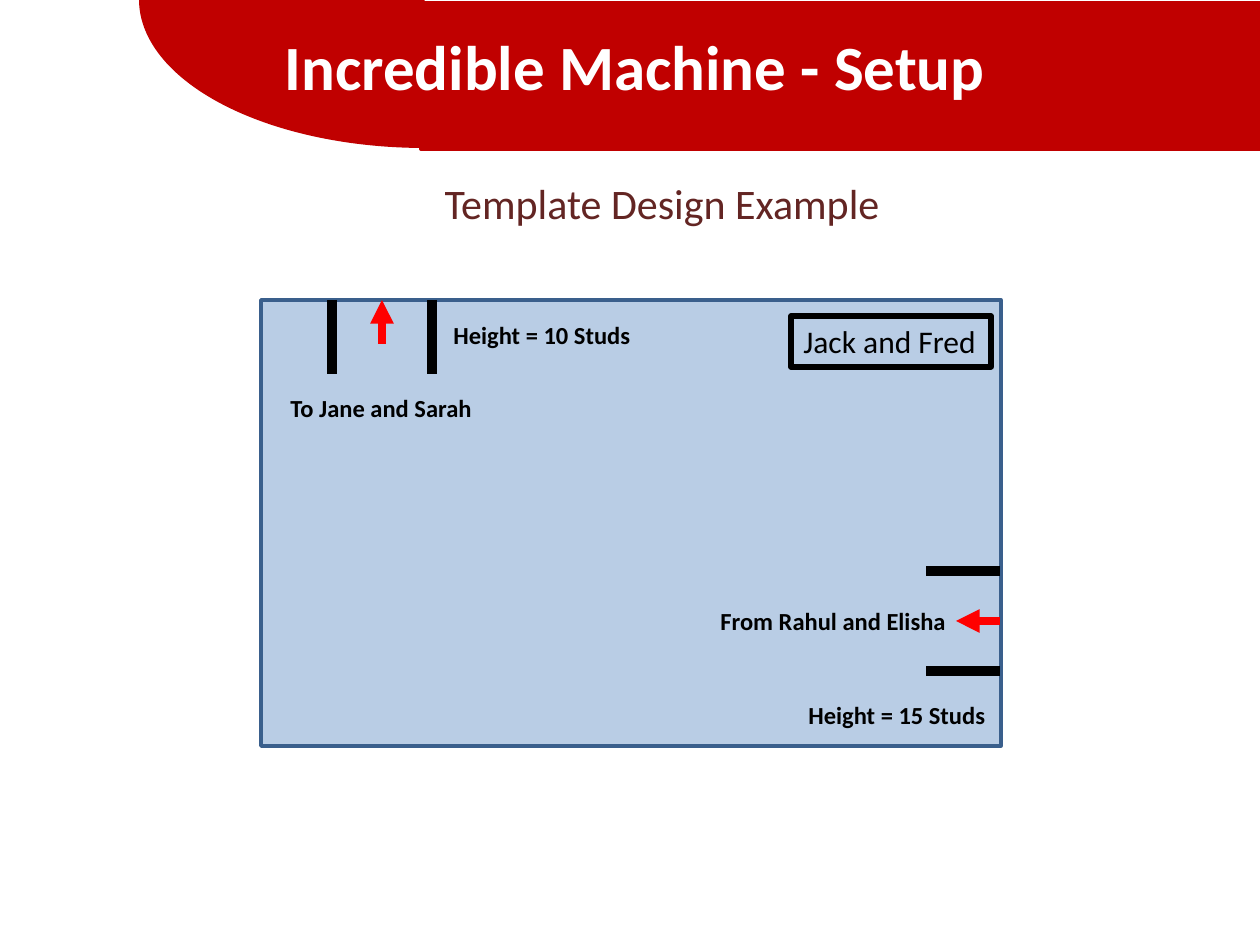
from dataclasses import dataclass

from lxml import etree
from pptx import Presentation
from pptx.dml.color import RGBColor
from pptx.enum.shapes import MSO_CONNECTOR, MSO_SHAPE
from pptx.enum.text import MSO_ANCHOR, MSO_AUTO_SIZE, PP_ALIGN
from pptx.oxml.ns import qn
from pptx.util import Emu, Pt

EMU_PER_PX = 914400 / 126
STRAIGHT = MSO_CONNECTOR.STRAIGHT
RECTANGLE = MSO_SHAPE.RECTANGLE
ARC = MSO_SHAPE.ARC
TOP = MSO_ANCHOR.TOP
LEFT = PP_ALIGN.LEFT
CENTER = PP_ALIGN.CENTER
NO_FIT = MSO_AUTO_SIZE.NONE
FONT = "Calibri"
RED = "C00000"
BLACK = "000000"


@dataclass(frozen=True)
class Area:
    left: int
    top: int
    width: int
    height: int

    @property
    def right(self) -> int:
        return self.left + self.width


@dataclass(frozen=True)
class Label:
    text: str
    area: Area


BOARD = Area(261, 300, 740, 446)
WALL_LENGTH = 74
ARROW_LENGTH = 44
EXIT_CENTER = 382
ENTRY_CENTER = 621
HALF_GAP = 50
LABELS = (
    Label("Height = 15 Studs", Area(796, 694, 204, 43)),
    Label("Height = 10 Studs", Area(441, 314, 204, 43)),
    Label("To Jane and Sarah", Area(278, 387, 208, 43)),
    Label("From Rahul and Elisha", Area(708, 600, 252, 43)),
)


def px(length: int) -> Emu:
    return Emu(round(length * EMU_PER_PX))


def color(value: str) -> RGBColor:
    return RGBColor.from_string(value)


def place(box, area: Area) -> None:
    box.left, box.top = px(area.left), px(area.top)
    box.width, box.height = px(area.width), px(area.height)


def write(box, text: str, *, size: int, ink: str = BLACK, bold: bool = False,
          align=LEFT, wrap: bool = False, after: int = 0) -> None:
    frame = box.text_frame
    frame.auto_size = NO_FIT
    frame.word_wrap = wrap
    frame.vertical_anchor = TOP
    para = frame.paragraphs[0]
    para.alignment = align
    para.space_before = Pt(0)
    para.space_after = Pt(after)
    span = para.add_run()
    span.text = text
    span.font.name = FONT
    span.font.size = Pt(size)
    span.font.bold = bold
    span.font.color.rgb = color(ink)


def add_panel(page, kind, area: Area, *, fill: str = "", line: str = "", weight: int = 0):
    box = page.shapes.add_shape(
        kind, px(area.left), px(area.top), px(area.width), px(area.height))
    box.shadow.inherit = False
    if fill:
        box.fill.solid()
        box.fill.fore_color.rgb = color(fill)
    else:
        box.fill.background()
    if line:
        box.line.color.rgb = color(line)
        box.line.width = Pt(weight)
    else:
        box.line.fill.background()
    return box


def add_line(page, start: tuple[int, int], end: tuple[int, int], *,
             ink: str = BLACK, weight: float = 6, arrow: bool = False) -> None:
    connector = page.shapes.add_connector(
        STRAIGHT, px(start[0]), px(start[1]), px(end[0]), px(end[1]))
    connector.line.color.rgb = color(ink)
    connector.line.width = Pt(weight)
    if arrow:
        outline = connector.line._get_or_add_ln()
        etree.SubElement(outline, qn("a:tailEnd"), type="triangle")
    etree.SubElement(connector._element.spPr, qn("a:effectLst"))


def add_header(page) -> None:
    add_panel(page, RECTANGLE, Area(421, 3, 842, 146), fill=RED, line=RED, weight=2)
    corner = add_panel(page, ARC, Area(139, -149, 571, 297), fill=RED)
    corner.rotation = 180
    title = page.shapes.title
    page.shapes._spTree.append(title._element)
    place(title, Area(272, 21, 990, 90))
    write(title, "Incredible Machine - Setup", size=36, ink="FFFFFF", bold=True, wrap=True)


def add_subtitle(page) -> None:
    body = page.placeholders[1]
    place(body, Area(35, 171, 1191, 63))
    properties = body.text_frame.paragraphs[0]._p.get_or_add_pPr()
    properties.set("marL", str(px(63)))
    properties.set("indent", "0")
    etree.SubElement(properties, qn("a:buNone"))
    write(body, "Template Design Example", size=24, ink="632523",
          align=CENTER, wrap=True, after=6)


def add_board(page) -> None:
    add_panel(page, RECTANGLE, BOARD, fill="B9CDE5", line="3A5F8C", weight=2)
    top, right = BOARD.top, BOARD.right - 1
    for offset in (-HALF_GAP, HALF_GAP):
        wall_x, wall_y = EXIT_CENTER + offset, ENTRY_CENTER + offset
        add_line(page, (wall_x, top), (wall_x, top + WALL_LENGTH))
        add_line(page, (right, wall_y), (right - WALL_LENGTH, wall_y))
    add_line(page, (EXIT_CENTER, top + ARROW_LENGTH), (EXIT_CENTER, top),
             ink="FF0000", weight=4.5, arrow=True)
    add_line(page, (right, ENTRY_CENTER), (right - ARROW_LENGTH, ENTRY_CENTER),
             ink="FF0000", weight=4.5, arrow=True)
    team = add_panel(page, RECTANGLE, Area(791, 316, 200, 51), line=BLACK, weight=3)
    write(team, "Jack and Fred", size=18)
    for label in LABELS:
        box = page.shapes.add_textbox(0, 0, 0, 0)
        place(box, label.area)
        write(box, label.text, size=14, bold=True)


def main() -> None:
    deck = Presentation()
    deck.slide_width, deck.slide_height = px(1260), px(945)
    page = deck.slides.add_slide(deck.slide_layouts[1])
    add_header(page)
    add_subtitle(page)
    add_board(page)
    deck.save("out.pptx")


if __name__ == "__main__":
    main()
